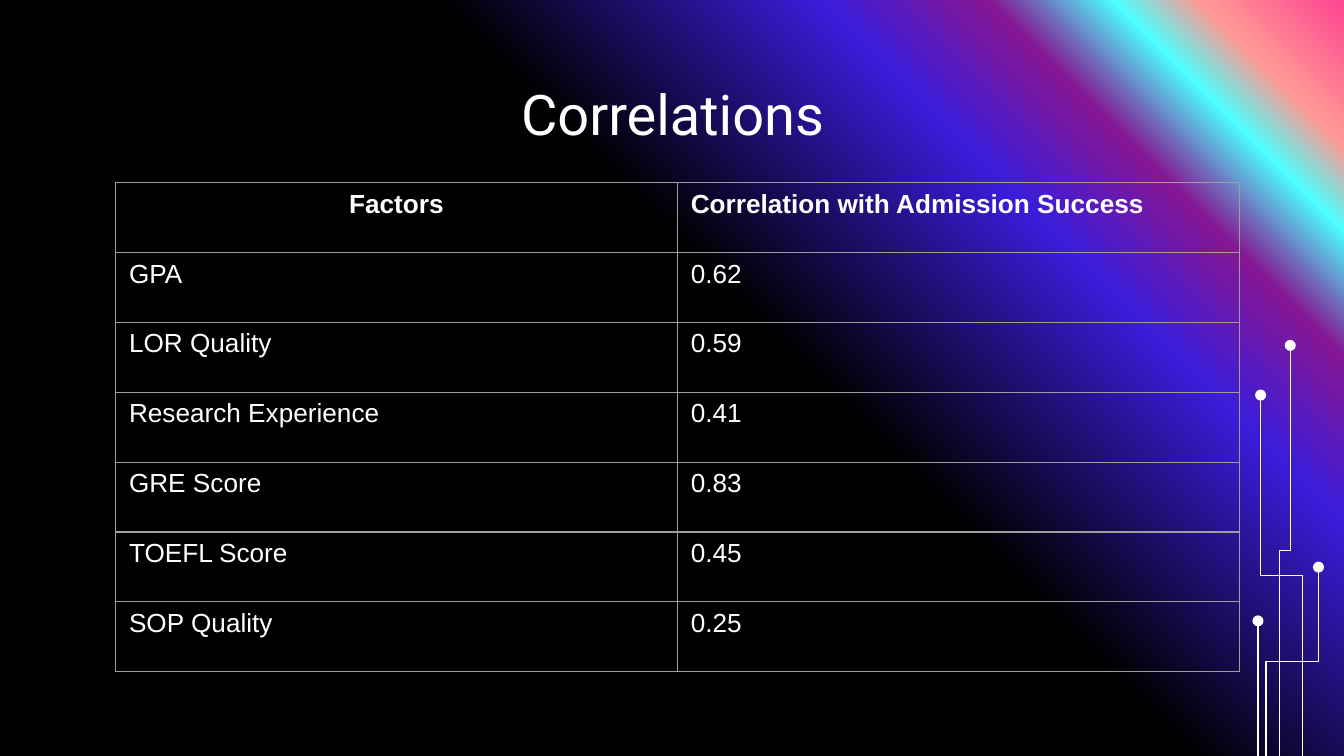
"""Build the Correlations slide: a two-column table with circuit lines on a gradient."""
from pptx import Presentation
from pptx.dml.color import RGBColor
from pptx.enum import shapes, text
from pptx.oxml import parse_xml
from pptx.oxml.ns import nsdecls, qn
from pptx.util import Inches, Pt

WHITE = RGBColor(0xFF, 0xFF, 0xFF)
GREY = RGBColor(0x9E, 0x9E, 0x9E)
STOPS = [
    (0, RGBColor(0xFF, 0x44, 0x91)),
    (7, RGBColor(0xFF, 0x9A, 0x94)),
    (11, RGBColor(0x4D, 0xFF, 0xFF)),
    (17, RGBColor(0x86, 0x16, 0x93)),
    (25, RGBColor(0x3A, 0x1D, 0xDB)),
    (43, RGBColor(0, 0, 0)),
    (100, RGBColor(0, 0, 0)),
]
ROWS = [
    ("Factors", "Correlation with Admission Success"),
    ("GPA", "0.62"),
    ("LOR Quality", "0.59"),
    ("Research Experience", "0.41"),
    ("GRE Score", "0.83"),
    ("TOEFL Score", "0.45"),
    ("SOP Quality", "0.25"),
]
CIRCUITS = [(9.69, 9.38, 2.94), (9.52, 9.6, 2.57), (9.36, 9.36, 4.62), (9.42, 9.81, 4.22)]
WIDTH = 10
BOTTOM = WIDTH * 9 / 16


def style_font(font, name, size, bold=False):
    font.name, font.size, font.bold = name, Pt(size), bold
    font.color.rgb = WHITE


prs = Presentation()
prs.slide_width, prs.slide_height = Inches(WIDTH), Inches(BOTTOM)
s = prs.slides.add_slide(prs.slide_layouts[5])

s.background.fill.solid()
bg_pr = s.background._cSld.bg.bgPr
stops = "".join(
    f'<a:gs pos="{pos * 1000}"><a:srgbClr val="{color}"/></a:gs>' for pos, color in STOPS
)
gradient = parse_xml(
    f'<a:gradFill {nsdecls("a")} rotWithShape="1"><a:gsLst>{stops}</a:gsLst>'
    '<a:path path="circle"><a:fillToRect l="100000" b="100000"/></a:path>'
    '<a:tileRect t="-100000" r="-100000"/></a:gradFill>'
)
bg_pr.replace(bg_pr.find(qn("a:solidFill")), gradient)

for x0, x1, top in CIRCUITS:
    if x0 == x1:
        line = s.shapes.add_connector(
            shapes.MSO_CONNECTOR.STRAIGHT, Inches(x0), Inches(BOTTOM), Inches(x1), Inches(top)
        )
    else:
        cx, cy = (x0 + x1) / 2, (BOTTOM + top) / 2
        side = 1 if x1 > x0 else -1
        dx, dy = side * (BOTTOM - top) / 2, abs(x1 - x0) / 2
        line = s.shapes.add_connector(
            shapes.MSO_CONNECTOR.ELBOW,
            Inches(cx - dx), Inches(cy - dy), Inches(cx + dx), Inches(cy + dy),
        )
        angle = 270 if side == 1 else 90
        line._element.spPr.find(qn("a:xfrm")).set("rot", str(angle * 60000))
    line.line.color.rgb = WHITE
    line.line.width = Pt(0.75)
    line.line._get_or_add_ln().append(parse_xml(f'<a:tailEnd {nsdecls("a")} type="oval"/>'))
    line._element.spPr.append(parse_xml(f'<a:effectLst {nsdecls("a")}/>'))

title = s.shapes.title
title.left, title.top = Inches(0.79), Inches(0.49)
title.width, title.height = Inches(8.43), Inches(0.63)
tf = title.text_frame
tf.text = "Correlations"
tf.margin_left = tf.margin_right = tf.margin_top = tf.margin_bottom = Inches(0.1)
tf.vertical_anchor = text.MSO_ANCHOR.TOP
tf.auto_size = text.MSO_AUTO_SIZE.NONE
p = tf.paragraphs[0]
p.alignment = text.PP_ALIGN.CENTER
style_font(p.font, "Roboto", 30)

table = s.shapes.add_table(
    len(ROWS), 2, Inches(0.86), Inches(1.36), Inches(8.36), Inches(3.64)
).table
table.horz_banding = False
for i, row in enumerate(ROWS):
    for j, value in enumerate(row):
        cell = table.cell(i, j)
        cell.text = value
        p = cell.text_frame.paragraphs[0]
        style_font(p.font, "Arial", 14, bold=i == 0)
        if (i, j) == (0, 0):
            p.alignment = text.PP_ALIGN.CENTER
        tc_pr = cell._tc.get_or_add_tcPr()
        for edge in ("lnL", "lnR", "lnT", "lnB"):
            tc_pr.append(parse_xml(
                f'<a:{edge} {nsdecls("a")} w="{Pt(0.75)}"><a:solidFill>'
                f'<a:srgbClr val="{GREY}"/></a:solidFill></a:{edge}>'
            ))
        cell.fill.background()

prs.save("out.pptx")
